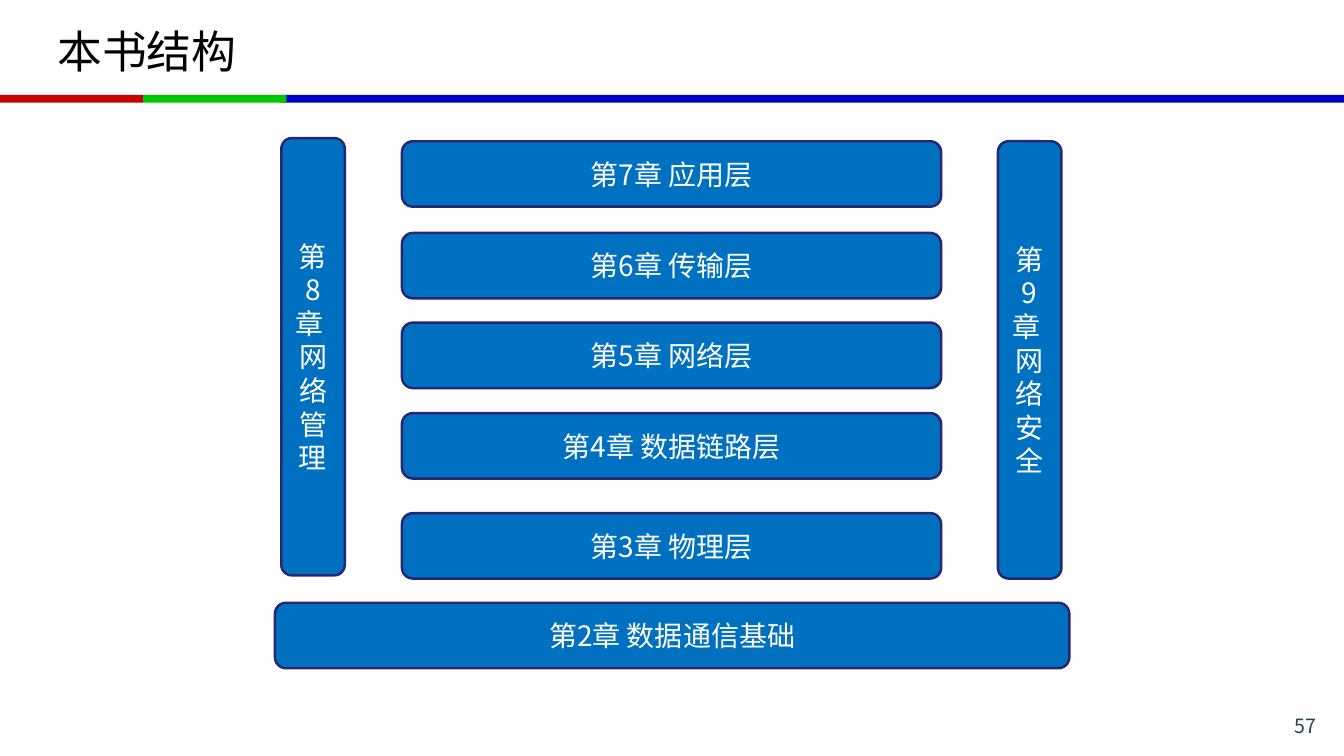
from pptx import Presentation
from pptx.dml.color import RGBColor
from pptx.enum.shapes import MSO_SHAPE as Shape
from pptx.enum.text import MSO_ANCHOR as Anchor, PP_ALIGN as Align
from pptx.oxml.ns import qn
from pptx.util import Cm, Pt
from lxml import etree

COLORS = {
    "red": "C80000", "green": "00C800", "blue": "0000C8",
    "box": "0070C0", "edge": "262673",
    "title": "000000", "label": "FFFFFF", "number": "1E4649",
}


class SlideBuilder:
    font = "Noto Sans CJK SC"
    label_size = 20
    edge_width = 1.75

    def __init__(self, slide):
        self.s = slide

    def color(self, name):
        return RGBColor.from_string(COLORS[name])

    def add_text(self, tf, lines, size, color, align):
        tf.word_wrap = True
        for i, line in enumerate(lines):
            p = tf.paragraphs[0] if i == 0 else tf.add_paragraph()
            p.alignment = align
            r = p.add_run()
            r.text = line
            r.font.name = self.font
            r.font.size = Pt(size)
            r.font.color.rgb = self.color(color)
            ea = etree.SubElement(r.font._element, qn("a:ea"))
            ea.set("typeface", self.font)

    def title(self, text, x, y, w, h):
        sp = self.s.shapes.title
        sp.left, sp.top, sp.width, sp.height = Cm(x), Cm(y), Cm(w), Cm(h)
        sp.text_frame.vertical_anchor = Anchor.MIDDLE
        self.add_text(sp.text_frame, [text], 32, "title", Align.LEFT)

    def shape(self, kind, fill, x, y, w, h):
        sp = self.s.shapes.add_shape(kind, Cm(x), Cm(y), Cm(w), Cm(h))
        sp.shadow.inherit = False
        sp.fill.solid()
        sp.fill.fore_color.rgb = self.color(fill)
        return sp

    def stripe(self, fill, x, w):
        sp = self.shape(Shape.RECTANGLE, fill, x, 2.39, w, 0.2)
        sp.line.fill.background()

    def chapter(self, lines, x, y, w, h):
        sp = self.shape(Shape.ROUNDED_RECTANGLE, "box", x, y, w, h)
        sp.line.color.rgb = self.color("edge")
        sp.line.width = Pt(self.edge_width)
        sp.text_frame.vertical_anchor = Anchor.MIDDLE
        self.add_text(sp.text_frame, lines, self.label_size, "label", Align.CENTER)

    def page_number(self, text, x, y, w, h):
        tf = self.s.shapes.add_textbox(Cm(x), Cm(y), Cm(w), Cm(h)).text_frame
        tf.margin_top = tf.margin_bottom = Cm(0.05)
        self.add_text(tf, [text], 14, "number", Align.RIGHT)


def main():
    prs = Presentation()
    prs.slide_width, prs.slide_height = Cm(33.87), Cm(19.05)
    page = SlideBuilder(prs.slides.add_slide(prs.slide_layouts[5]))

    # Title and tricolour rule
    page.stripe("blue", 7.09, 26.78)
    page.stripe("red", 0, 3.61)
    page.stripe("green", 3.61, 3.61)
    page.title("本书结构", 1.19, 0.2, 31.47, 2.13)

    # Layer chapters, top to bottom
    bar_height = 1.65
    layers = [
        ("第7章 应用层", 3.56),
        ("第6章 传输层", 5.87),
        ("第5章 网络层", 8.13),
        ("第4章 数据链路层", 10.41),
        ("第3章 物理层", 12.93),
    ]
    for name, y in layers:
        page.chapter([name], 10.13, y, 13.59, bar_height)

    # Foundation chapter
    page.chapter(["第2章 数据通信基础"], 6.93, 15.19, 20.02, bar_height)

    # Side pillars across all layers
    pillars = [("第8章 ", "网络管理", 7.09, 3.48), ("第9章 ", "网络安全", 25.15, 3.56)]
    for number, name, x, y in pillars:
        page.chapter([number, name], x, y, 1.6, 11.02)

    # Page number
    page.page_number("57", 30.12, 17.93, 3.3, 0.71)
    prs.save("out.pptx")


if __name__ == "__main__":
    main()
